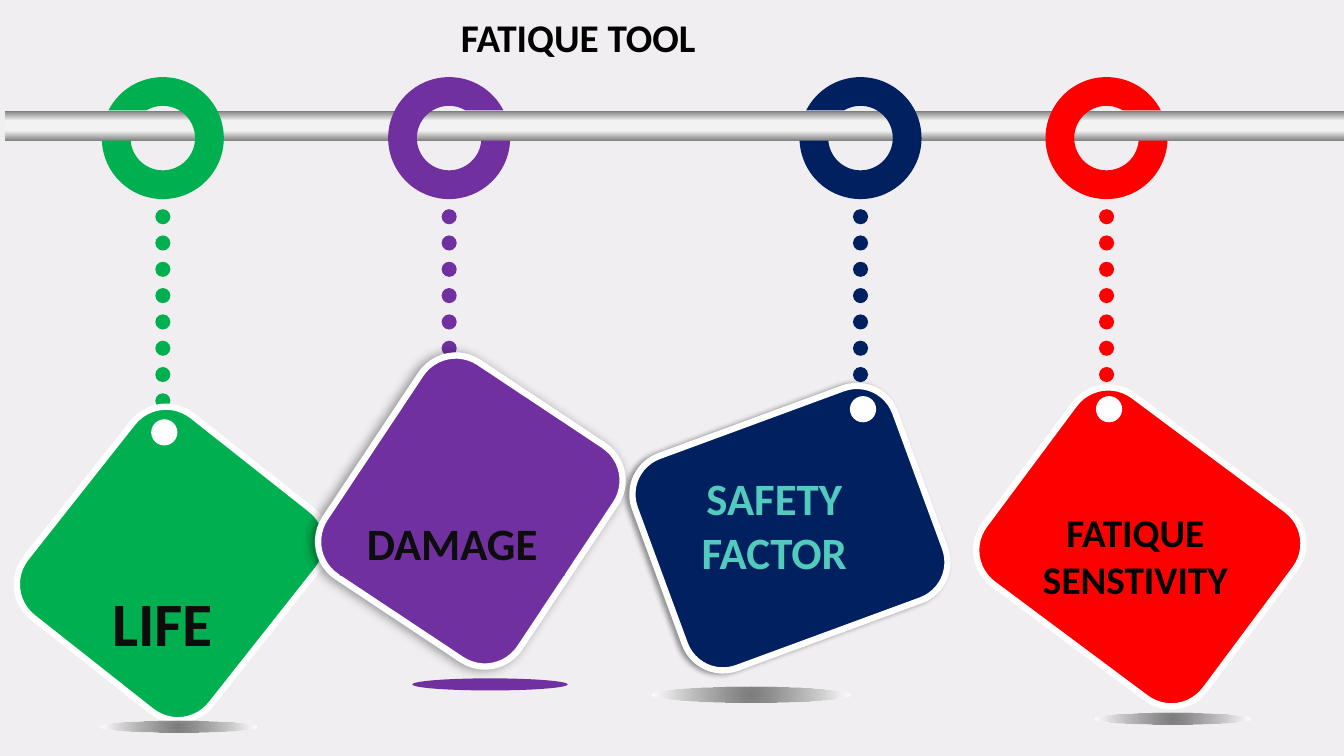
from dataclasses import dataclass
from math import asin, cos, pi, sin, tan

from lxml.etree import SubElement
from pptx import Presentation
from pptx.dml.color import RGBColor
from pptx.enum.shapes import MSO_SHAPE
from pptx.enum.text import MSO_ANCHOR, MSO_AUTO_SIZE, PP_ALIGN
from pptx.oxml.ns import qn
from pptx.util import Emu, Inches, Pt

# Square grid: 133.3 columns by 75 rows
COLS, ROWS = 133.3, 75
CELL = Inches(0.1)
FONT = "Calibri"
COLORS = {
    "paper": "F0EEF0", "white": "FFFFFF", "black": "000000", "ink": "0D0D0D",
    "green": "00B050", "purple": "7030A0", "navy": "002060", "red": "FF0000",
    "aqua": "52CBBE", "steel": "7F7F7F", "shine": "F2F2F2", "shade": "595959",
}
RING_Y, RING_OUTER, RING_INNER = 13.7, 6.05, 3.2
GAP_TOP, GAP_BOTTOM = -2.75, 0.25
DOTS, DOT_TOP, DOT_STEP, DOT_SIZE = 9, 20.75, 2.61, 1.5
HOLE_SIZE = 2.6


@dataclass(frozen=True)
class Box:
    x: float
    y: float
    w: float
    h: float

    def emu(self) -> list:
        return [Emu(round(v * CELL)) for v in (self.x, self.y, self.w, self.h)]


@dataclass(frozen=True)
class Tag:
    text: str
    size: int
    ink: str
    color: str
    ring_x: float
    gap_side: int          # -1: ring open on the left, 1: on the right
    plate: Box
    angle: float
    hole: tuple
    ground: Box
    label: Box
    hole_color: str = "white"
    ground_color: str = ""  # empty: soft grey shade
    label_fill: str = ""
    blur: int = 0           # plate shadow, points


TAGS = [
    Tag("LIFE", 44, "ink", "green", 16.15, -1, Box(4.3, 44.2, 25.5, 23.4), 128.3,
        (15, 41.6), Box(10, 71.5, 15.4, 1.2), Box(8.8, 57.5, 14.7, 8.4)),
    Tag("SAFETY FACTOR", 32, "aqua", "navy", 85.35, -1, Box(64.6, 41.2, 27.5, 22.4), 159.8,
        (84.3, 39.3), Box(64.6, 68.1, 19.8, 1.6), Box(66.5, 46.2, 20.6, 11.8), blur=4),
    Tag("DAMAGE", 32, "ink", "purple", 44.55, 1, Box(33.9, 39.1, 25.5, 23.2), 123.6,
        (43.2, 36.3), Box(40.9, 67.3, 15.4, 1.2), Box(33.7, 50.7, 22.3, 6.4),
        "purple", "purple", "purple", 8),
    Tag("FATIQUE SENSTIVITY", 28, "black", "red", 109.75, 1, Box(99.4, 42.6, 27.3, 23.3), 216.7,
        (108.7, 39.3), Box(108.6, 70.7, 15.4, 1.2), Box(98.35, 49.9, 28.5, 10.4)),
]


def rgb(name: str) -> RGBColor:
    return RGBColor.from_string(COLORS[name])


def paint(sp, color: str) -> None:
    sp.shadow.inherit = False
    sp.line.fill.background()
    sp.fill.solid()
    sp.fill.fore_color.rgb = rgb(color)


def add_filled(shapes, kind: MSO_SHAPE, box: Box, color: str):
    sp = shapes.add_shape(kind, *box.emu())
    paint(sp, color)
    return sp


def set_gradient(sp, stops: list, angle: int = 0, radial: bool = False) -> None:
    """Stops are (percent, colour, opacity percent)."""
    sp.fill.gradient()
    grad = sp._element.spPr.find(qn("a:gradFill"))
    for child in list(grad):
        grad.remove(child)
    gs_list = SubElement(grad, qn("a:gsLst"))
    for pos, color, opacity in stops:
        gs = SubElement(gs_list, qn("a:gs"), pos=str(pos * 1000))
        clr = SubElement(gs, qn("a:srgbClr"), val=COLORS[color])
        if opacity < 100:
            SubElement(clr, qn("a:alpha"), val=str(opacity * 1000))
    if radial:
        route = SubElement(grad, qn("a:path"), path="circle")
        SubElement(route, qn("a:fillToRect"), l="50000", t="50000", r="50000", b="50000")
    else:
        SubElement(grad, qn("a:lin"), ang=str(angle * 60000), scaled="0")


def add_shadow(sp, blur: int) -> None:
    effects = sp._element.spPr.find(qn("a:effectLst"))
    outer = SubElement(effects, qn("a:outerShdw"), blurRad=str(Pt(blur)), dist=str(Pt(3)),
                       dir=str(180 * 60000), algn="r", rotWithShape="0")
    clr = SubElement(outer, qn("a:srgbClr"), val=COLORS["black"])
    SubElement(clr, qn("a:alpha"), val="40000")


def write(sp, text: str, size: int, color: str) -> None:
    tf = sp.text_frame
    tf.word_wrap = True
    tf.auto_size = MSO_AUTO_SIZE.NONE
    tf.vertical_anchor = MSO_ANCHOR.TOP
    p = tf.paragraphs[0]
    p.alignment = PP_ALIGN.CENTER
    r = p.add_run()
    r.text = text
    r.font.name, r.font.size, r.font.bold = FONT, Pt(size), True
    r.font.color.rgb = rgb(color)


def arc(cx: float, radius: float, side: int) -> list:
    """Bezier points round a circle, from the gap's lower to its upper edge."""
    def point(t: float, reach: float) -> tuple:
        """Point at angle t, moved along the tangent by reach radii."""
        dx, dy = cos(t) - reach * sin(t), sin(t) + reach * cos(t)
        return (round((cx - side * radius * dx) * CELL),
                round((RING_Y + radius * dy) * CELL))

    turns = [pi - asin(GAP_BOTTOM / radius), pi / 2, 0, -pi / 2,
             -pi - asin(GAP_TOP / radius)]
    points = [point(turns[0], 0)]
    for a, b in zip(turns, turns[1:]):
        reach = 4 / 3 * tan((b - a) / 4)
        points += [point(a, reach), point(b, -reach), point(b, 0)]
    return points


def add_ring(shapes, cx: float, side: int, color: str) -> None:
    outer, inner = arc(cx, RING_OUTER, side), arc(cx, RING_INNER, side)[::-1]
    outline = shapes.build_freeform(*outer[0], scale=1.0)
    outline.add_line_segments(outer[1:] + inner, close=True)
    ring = outline.convert_to_shape()
    # Turn each run of three points into one curve; a line joins the two arcs
    lines = list(ring._element.iter(qn("a:lnTo")))
    curve_points = len(outer) - 1
    for first in (0, curve_points + 1):
        for i in range(first, first + curve_points, 3):
            curve = lines[i].makeelement(qn("a:cubicBezTo"))
            lines[i].addprevious(curve)
            for line in lines[i:i + 3]:
                curve.append(line[0])
                line.getparent().remove(line)
    paint(ring, color)


def add_tag(s, tag: Tag) -> None:
    shapes = s.shapes.add_group_shape().shapes
    # Ring and dotted cord
    add_ring(shapes, tag.ring_x, tag.gap_side, tag.color)
    for i in range(DOTS):
        dot = Box(tag.ring_x - DOT_SIZE / 2, DOT_TOP + i * DOT_STEP, DOT_SIZE, DOT_SIZE)
        add_filled(shapes, MSO_SHAPE.OVAL, dot, tag.color)
    # Tilted plate and its hole
    plate = add_filled(shapes, MSO_SHAPE.ROUNDED_RECTANGLE, tag.plate, tag.color)
    plate.adjustments[0] = 0.18
    plate.rotation = tag.angle
    plate.line.color.rgb = rgb("white")
    plate.line.width = Pt(4.5)
    if tag.blur:
        add_shadow(plate, tag.blur)
    add_filled(shapes, MSO_SHAPE.OVAL, Box(*tag.hole, HOLE_SIZE, HOLE_SIZE), tag.hole_color)
    # Shade on the ground
    ground = add_filled(shapes, MSO_SHAPE.OVAL, tag.ground, tag.ground_color or "shade")
    if not tag.ground_color:
        set_gradient(ground, [(0, "shade", 76), (100, "white", 100)], radial=True)
    # Label
    label = shapes.add_textbox(*tag.label.emu())
    if tag.label_fill:
        label.fill.solid()
        label.fill.fore_color.rgb = rgb(tag.label_fill)
    write(label, tag.text, tag.size, tag.ink)


def main() -> None:
    prs = Presentation()
    prs.slide_width, prs.slide_height = round(COLS * CELL), ROWS * CELL
    s = prs.slides.add_slide(prs.slide_layouts[5])
    s.background.fill.solid()
    s.background.fill.fore_color.rgb = rgb("paper")
    # Title
    title = s.shapes.title
    title.left, title.top, title.width, title.height = Box(11.8, 0.8, 91.1, 5.7).emu()
    write(title, "FATIQUE TOOL", 28, "black")
    # Steel rail
    rail = add_filled(s.shapes, MSO_SHAPE.RECTANGLE, Box(0.5, 11, COLS, 3), "steel")
    set_gradient(rail, [(0, "steel", 100), (34, "shine", 100),
                        (67, "shine", 100), (100, "steel", 100)], angle=270)
    # Hanging tags
    for tag in TAGS:
        add_tag(s, tag)
    prs.save("out.pptx")


if __name__ == "__main__":
    main()
